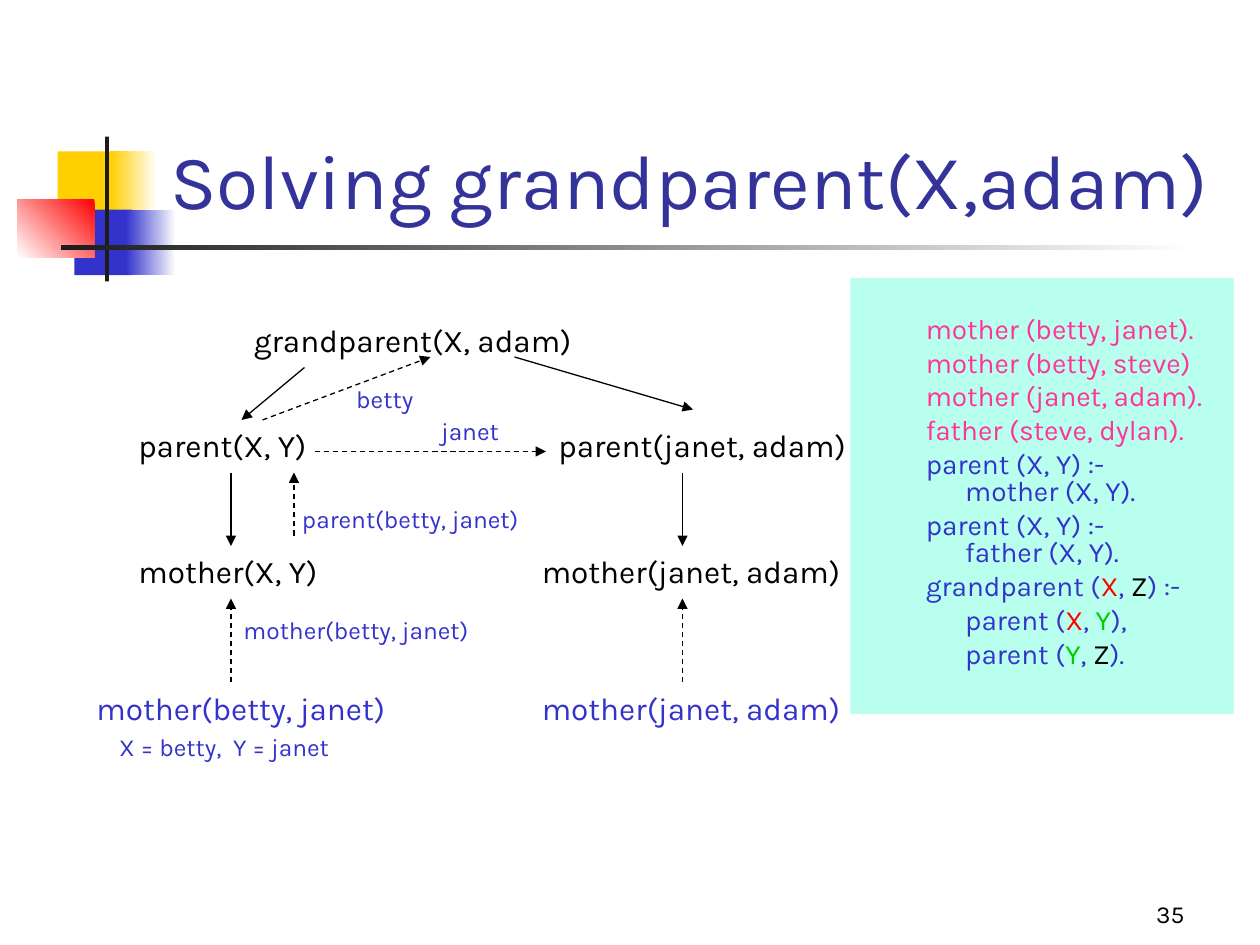
import pptx
import pptx.util
import pptx.dml.color
import pptx.enum.dml
import pptx.enum.shapes
import pptx.enum.text
import pptx.oxml
import pptx.oxml.ns

Pt = pptx.util.Pt
RGBColor = pptx.dml.color.RGBColor
RECTANGLE = pptx.enum.shapes.MSO_SHAPE.RECTANGLE
STRAIGHT = pptx.enum.shapes.MSO_CONNECTOR.STRAIGHT
ALIGN = pptx.enum.text.PP_ALIGN
ANCHOR = pptx.enum.text.MSO_ANCHOR

BLACK = RGBColor(0x00, 0x00, 0x00)
WHITE = RGBColor(0xFF, 0xFF, 0xFF)
CHARCOAL = RGBColor(0x1C, 0x1C, 0x1C)
YELLOW = RGBColor(0xFF, 0xCF, 0x01)
BLUE = RGBColor(0x33, 0x33, 0xCC)
INDIGO = RGBColor(0x33, 0x33, 0x99)
RED = RGBColor(0xFF, 0x00, 0x00)
PINK = RGBColor(0xFF, 0x33, 0x99)
GREEN = RGBColor(0x00, 0xCC, 0x00)
MINT = RGBColor(0xB9, 0xFF, 0xED)
FONT = "Karla"


def add_span(para, text, size=18, color=BLACK):
    span = para.add_run()
    span.text = text
    span.font.name = FONT
    span.font.size = Pt(size)
    span.font.color.rgb = color


deck = pptx.Presentation()
deck.slide_width, deck.slide_height = Pt(720), Pt(540)
page = deck.slides.add_slide(deck.slide_layouts[5])

# Corner ornament and title rule: place, fill colours, gradient angle
ornament = [
    (33, 86.5, 34.5, 37.5, [YELLOW], 0),
    (63.5, 86.5, 26, 37.5, [WHITE, YELLOW], 180),
    (42.5, 119.75, 33, 37.5, [BLUE], 0),
    (72, 119.75, 28.5, 37.5, [WHITE, BLUE], 180),
    (10, 113.75, 44, 33.25, [RED, WHITE], 225),
    (60, 78, 2.25, 82.75, [CHARCOAL], 0),
    (34.75, 140.25, 648, 2.5, [WHITE, CHARCOAL], 180),
]
for left, top, width, height, colors, angle in ornament:
    block = page.shapes.add_shape(RECTANGLE, Pt(left), Pt(top), Pt(width), Pt(height))
    block.shadow.inherit = False
    block.line.fill.background()
    if len(colors) == 1:
        block.fill.solid()
        block.fill.fore_color.rgb = colors[0]
    else:
        block.fill.gradient()
        block.fill.gradient_angle = angle
        for stop, color in zip(block.fill.gradient_stops, colors):
            stop.color.rgb = color

# Title
title = page.shapes.title
title.left, title.top, title.width, title.height = Pt(90), Pt(42), Pt(613.5), Pt(90)
title.text_frame.auto_size = pptx.enum.text.MSO_AUTO_SIZE.NONE
title.text_frame.vertical_anchor = ANCHOR.BOTTOM
title_para = title.text_frame.paragraphs[0]
title_para.alignment = ALIGN.LEFT
add_span(title_para, "Solving grandparent(X,adam)", size=44, color=INDIGO)

# Program panel: each paragraph is (body line?, spans); "\n" breaks the line
program = [
    (False, [("mother (betty, janet).", PINK)]),
    (False, [("mother (betty, steve)", PINK)]),
    (False, [("mother (janet, adam).", PINK)]),
    (False, [("father (steve, dylan).", PINK)]),
    (False, [("parent (X, Y) :-\nmother (X, Y).", BLUE)]),
    (False, [("parent (X, Y) :-\nfather (X, Y).", BLUE)]),
    (False, [("grandparent (", BLUE), ("X", RED), (", ", BLUE), ("Z", BLACK), (") :-", BLUE)]),
    (True, [("parent (", BLUE), ("X", RED), (", ", BLUE), ("Y", GREEN), ("),", BLUE)]),
    (True, [("parent (", BLUE), ("Y", GREEN), (", ", BLUE), ("Z", BLACK), (").", BLUE)]),
]
panel = page.shapes.add_shape(RECTANGLE, Pt(486), Pt(159), Pt(219), Pt(249))
panel.shadow.inherit = False
panel.fill.solid()
panel.fill.fore_color.rgb = MINT
panel.line.fill.background()
panel.text_frame.word_wrap = True
panel.text_frame.vertical_anchor = ANCHOR.TOP
panel.text_frame.margin_top = Pt(22.6)
for number, (is_body, spans) in enumerate(program):
    para = panel.text_frame.add_paragraph() if number else panel.text_frame.paragraphs[0]
    para.alignment = ALIGN.LEFT
    para.line_spacing = 0.8
    para.space_before = Pt(4 if number else 0)
    properties = para._p.get_or_add_pPr()
    properties.set("marL", str(Pt(58.5)))
    properties.set("indent", str(Pt(0 if is_body else -22.5)))
    for text, color in spans:
        for part, line in enumerate(text.split("\n")):
            if part:
                para.add_line_break()
            add_span(para, line, size=16, color=color)

# Goals, results and bindings: text, left, top, width, size, colour
labels = [
    ("grandparent(X, adam)", 138, 180, 246, 18, BLACK),
    ("parent(X, Y)", 72, 240, 144, 18, BLACK),
    ("parent(janet, adam)", 312, 240, 186, 18, BLACK),
    ("mother(X, Y)", 72, 312, 126, 18, BLACK),
    ("mother(janet, adam)", 302.5, 312, 188, 18, BLACK),
    ("mother(betty, janet)", 48, 390, 198, 18, BLUE),
    ("mother(janet, adam)", 302.5, 390, 188, 18, BLUE),
    ("X = betty,  Y = janet", 61, 415, 170, 14, BLUE),
    ("mother(betty, janet)", 132, 348, 168, 14, BLUE),
    ("parent(betty, janet)", 165.5, 284.5, 144, 14, BLUE),
    ("betty", 196.5, 216, 52, 14, BLUE),
    ("janet", 245, 234, 52, 14, BLUE),
]
for text, left, top, width, size, color in labels:
    height = 28.5 if size == 18 else 24.5
    box = page.shapes.add_textbox(Pt(left), Pt(top), Pt(width), Pt(height))
    box.text_frame.word_wrap = True
    add_span(box.text_frame.paragraphs[0], text, size=size, color=color)

# Arrows: solid for calls, dashed for returned values
arrows = [
    (174, 210, 138, 240, False),
    (294, 204, 396, 234, False),
    (132, 270, 132, 312, False),
    (390, 270, 390, 312, False),
    (132, 390, 132, 342, True),
    (390, 390, 390, 342, True),
    (168, 306, 168, 270, True),
    (150, 240, 246, 204, True),
    (180, 258, 312, 258, True),
]
for start_x, start_y, end_x, end_y, dashed in arrows:
    arrow = page.shapes.add_connector(STRAIGHT, Pt(start_x), Pt(start_y), Pt(end_x), Pt(end_y))
    arrow.line.color.rgb = BLACK
    arrow.line.width = Pt(0.75)
    if dashed:
        arrow.line.dash_style = pptx.enum.dml.MSO_LINE.DASH
    head = pptx.oxml.parse_xml(
        f'<a:tailEnd {pptx.oxml.ns.nsdecls("a")} type="triangle"/>')
    arrow.line._get_or_add_ln().append(head)
    effects = pptx.oxml.parse_xml(f'<a:effectLst {pptx.oxml.ns.nsdecls("a")}/>')
    arrow._element.spPr.append(effects)

# Page number
number_box = page.shapes.add_textbox(Pt(534), Pt(498), Pt(150), Pt(36))
number_box.text_frame.word_wrap = True
number_box.text_frame.vertical_anchor = ANCHOR.BOTTOM
number_para = number_box.text_frame.paragraphs[0]
number_para.alignment = ALIGN.RIGHT
add_span(number_para, "35", size=14)

deck.save("out.pptx")
